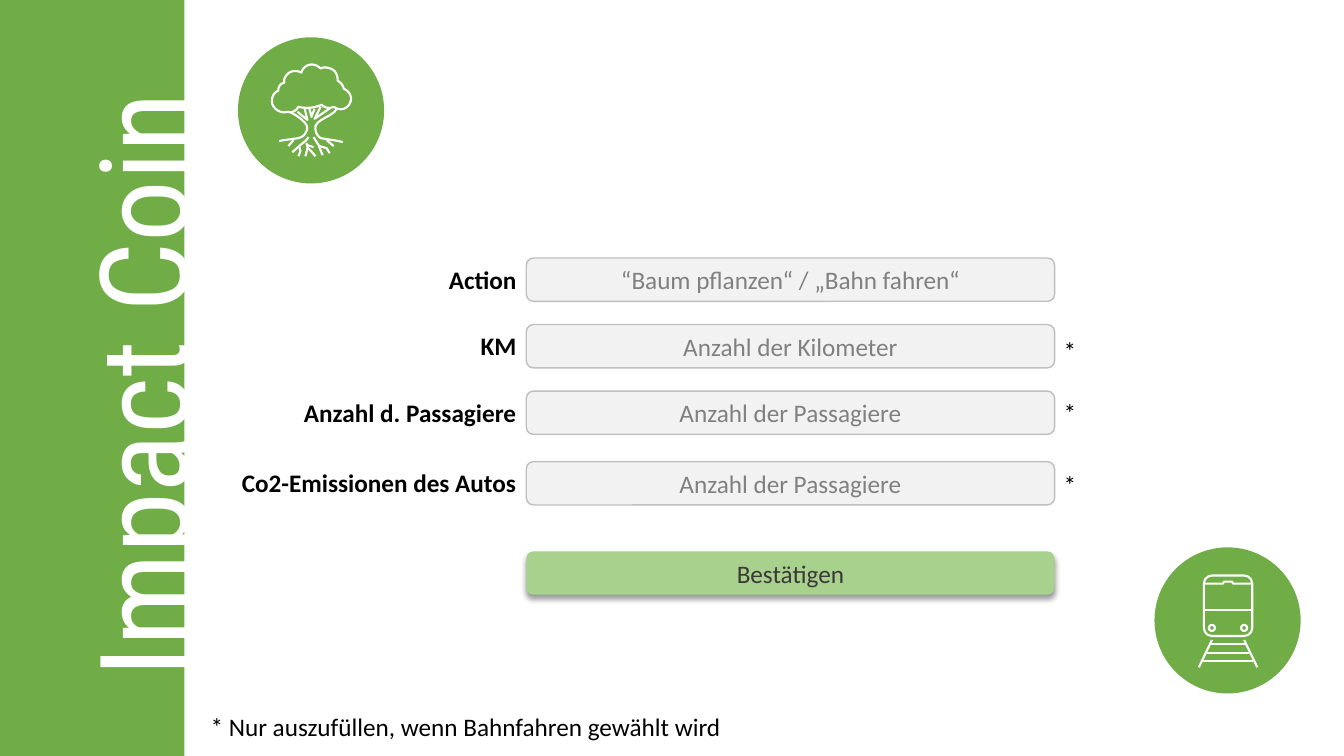
import pptx
import pptx.util
import pptx.dml.color
import pptx.enum.shapes
import pptx.enum.text
import pptx.oxml
import pptx.oxml.ns

RGBColor = pptx.dml.color.RGBColor
Preset = pptx.enum.shapes.MSO_SHAPE
Align = pptx.enum.text.PP_ALIGN
Anchor = pptx.enum.text.MSO_ANCHOR

GREEN = RGBColor(0x70, 0xAD, 0x47)
LIGHT_GREEN = RGBColor(0xA9, 0xD1, 0x8E)
WHITE = RGBColor(0xFF, 0xFF, 0xFF)
BLACK = RGBColor(0, 0, 0)
PALE_GREY = RGBColor(0xF2, 0xF2, 0xF2)
LINE_GREY = RGBColor(0xBF, 0xBF, 0xBF)
HINT_GREY = RGBColor(0x80, 0x80, 0x80)
DARK_GREY = RGBColor(0x3B, 0x38, 0x38)

# All positions count cells of a fine grid, 100 to the inch.
CELL = 9144
SLIDE_COLUMNS, SLIDE_ROWS = 1333, 750
FIELD_LEFT, FIELD_WIDTH, FIELD_HEIGHT = 522, 524, 43
LABEL_HEIGHT, STAR_WIDTH = 40, 33
CIRCLE_SIZE = 145
ICON_LINE = 1.5
TITLE_CENTER, TITLE_LENGTH, TITLE_DEPTH = (144, 341), 682, 168

# Label, label width, hint, field row, row of the star
FIELDS = [
    ("Action", 88, "“Baum pflanzen“ / „Bahn fahren“", 256, None),
    ("KM", 56, "Anzahl der Kilometer", 322, 328),
    ("Anzahl d. Passagiere", 232, "Anzahl der Passagiere", 388, 389),
    ("Co2-Emissionen des Autos", 294, "Anzahl der Passagiere", 458, 461),
]

# Each curve: a start point, then cubic segments (two controls and an end).
TREE_CURVES = [
    [(296, 106),
     (293, 111), (289, 112), (285, 111), (279, 113), (272, 109), (270, 103),
     (269, 97), (271, 92), (276, 90), (276, 86), (278, 83), (282, 82),
     (281, 78), (284, 74), (287, 72), (290, 70), (295, 70), (299, 72),
     (300, 67), (305, 64), (309, 64), (313, 64), (316, 66), (318, 68),
     (321, 66), (326, 67), (330, 69), (333, 71), (335, 75), (335, 80),
     (338, 82), (340, 84), (341, 88), (346, 90), (349, 95), (348, 100),
     (346, 108), (338, 111), (331, 106), (327, 108), (322, 107), (319, 104),
     (312, 107), (304, 108), (296, 106)],
    [(287, 111), (294, 114), (302, 120), (304, 124), (306, 128), (303, 134),
     (299, 136), (295, 138), (285, 138), (277, 140)],
    [(334, 108), (331, 115), (315, 118), (313, 125), (312, 131), (315, 135),
     (318, 137), (322, 138), (333, 139), (340, 141)],
]
TREE_BRANCHES = [
    [(295, 111), (305, 119), (302, 107)],
    [(307, 108), (309, 116), (312, 108)],
    [(318, 106), (312, 118), (328, 107)],
]
TREE_ROOTS = [
    [(291, 139), (286, 145)],
    [(324, 139), (331, 145)],
    [(306, 136), (303, 140), (299, 143), (290, 151)],
    [(297, 146), (298, 150), (296, 155)],
    [(304, 142), (305, 146), (313, 155)],
    [(305, 147), (303, 155)],
    [(305, 144), (311, 146)],
    [(311, 136), (316, 144), (320, 154)],
    [(317, 145), (324, 147), (327, 152)],
]
TRAIN_STROKES = [
    [(1195, 579), (1213, 579), (1214, 577), (1222, 577), (1223, 579), (1241, 579)],
    [(1195, 605), (1241, 605)],
    [(1202, 635), (1189, 662)],
    [(1234, 635), (1247, 662)],
    [(1200, 639), (1236, 639)],
    [(1197, 648), (1239, 648)],
    [(1193, 656), (1243, 656)],
]


def grid(*cells):
    return [pptx.util.Emu(round(cell * CELL)) for cell in cells]


def set_values(target, values):
    for name, value in values.items():
        setattr(target, name, value)


def write(shape, text, color, align=Align.LEFT, font="Calibri", size=18, bold=False):
    paragraph = shape.text_frame.paragraphs[0]
    paragraph.alignment = align
    run = paragraph.add_run()
    run.text = text
    set_values(run.font, {"name": font, "size": pptx.util.Pt(size), "bold": bold})
    run.font.color.rgb = color


def paint(shape, fill=None, line=None, width=1):
    shape.shadow.inherit = False
    if fill is None:
        shape.fill.background()
    else:
        shape.fill.solid()
        shape.fill.fore_color.rgb = fill
    if line is None:
        shape.line.fill.background()
    else:
        shape.line.color.rgb = line
        shape.line.width = pptx.util.Pt(width)


def add_block(shapes, preset, place, **colors):
    shape = shapes.add_shape(preset, *grid(*place))
    paint(shape, **colors)
    return shape


def add_text(shapes, place, text, **format_values):
    box = shapes.add_textbox(*grid(*place))
    box.text_frame.word_wrap = False
    write(box, text, BLACK, **format_values)


def add_field(shapes, top, text, color, **colors):
    field = add_block(shapes, Preset.ROUNDED_RECTANGLE,
                      (FIELD_LEFT, top, FIELD_WIDTH, FIELD_HEIGHT), **colors)
    field.text_frame.vertical_anchor = Anchor.MIDDLE
    write(field, text, color, Align.CENTER)
    return field


def add_drop_shadow(shape):
    effects = shape._element.spPr.find(pptx.oxml.ns.qn("a:effectLst"))
    effects.append(pptx.oxml.parse_xml(
        f'<a:outerShdw {pptx.oxml.ns.nsdecls("a")} blurRad="50800" dist="38100" '
        'dir="5400000" algn="t" rotWithShape="0"><a:srgbClr val="000000">'
        '<a:alpha val="40000"/></a:srgbClr></a:outerShdw>'))


def flatten(curve, steps=6):
    """Turn a chain of cubic segments into a list of points."""
    points = [curve[0]]
    for index in range(0, len(curve) - 1, 3):
        segment = curve[index:index + 4]
        for step in range(1, steps + 1):
            t = step / steps
            weights = ((1 - t) ** 3, 3 * t * (1 - t) ** 2, 3 * t * t * (1 - t), t ** 3)
            points.append(tuple(sum(weight * point[axis] for weight, point in zip(weights, segment))
                                for axis in (0, 1)))
    return points


def add_strokes(shapes, strokes):
    """Draw several open white lines as one outline shape."""
    builder = shapes.build_freeform(*grid(*strokes[0][0]), scale=1.0)
    for number, stroke in enumerate(strokes):
        start, *rest = [grid(*point) for point in stroke]
        if number:
            builder.move_to(*start)
        builder.add_line_segments(rest, close=False)
    paint(builder.convert_to_shape(), line=WHITE, width=ICON_LINE)


def add_circle_group(slide, left, top):
    shapes = slide.shapes.add_group_shape().shapes
    add_block(shapes, Preset.OVAL, (left, top, CIRCLE_SIZE, CIRCLE_SIZE), fill=GREEN)
    return shapes


def add_train(slide):
    shapes = add_circle_group(slide, 1145, 543)
    outline = {"line": WHITE, "width": ICON_LINE}
    add_block(shapes, Preset.ROUNDED_RECTANGLE, (1194, 571, 48, 60), **outline)
    for lamp_left in (1199, 1231):
        add_block(shapes, Preset.OVAL, (lamp_left, 620, 6, 6), **outline)
    add_strokes(shapes, TRAIN_STROKES)


def add_tree(slide):
    shapes = add_circle_group(slide, 236, 37)
    add_strokes(shapes, [flatten(curve) for curve in TREE_CURVES])
    add_strokes(shapes, TREE_BRANCHES)
    add_strokes(shapes, TREE_ROOTS)


def add_title(slide):
    """Turn the title a quarter left, so that it reads upwards on the sidebar."""
    title = slide.shapes.title
    center_x, center_y = TITLE_CENTER
    place = grid(center_x - TITLE_LENGTH / 2, center_y - TITLE_DEPTH / 2, TITLE_LENGTH, TITLE_DEPTH)
    set_values(title, dict(zip(("left", "top", "width", "height"), place)))
    title.rotation = 270
    set_values(title.text_frame, {"word_wrap": True, "vertical_anchor": Anchor.TOP,
                                  "auto_size": pptx.enum.text.MSO_AUTO_SIZE.NONE})
    write(title, "Impact Coin", WHITE, font="Roboto Condensed", size=88)
    sidebar = add_block(slide.shapes, Preset.RECTANGLE, (-118, -11, 301, 772), fill=GREEN)
    title._element.addprevious(sidebar._element)


def add_form(slide):
    for label, label_width, hint, top, star_top in FIELDS:
        shapes = slide.shapes.add_group_shape().shapes
        add_text(shapes, (FIELD_LEFT - label_width, top + 1, label_width, LABEL_HEIGHT),
                 label, align=Align.RIGHT, bold=True)
        add_field(shapes, top, hint, HINT_GREY, fill=PALE_GREY, line=LINE_GREY)
        if star_top:
            add_text(slide.shapes, (FIELD_LEFT + FIELD_WIDTH - 1, star_top, STAR_WIDTH, LABEL_HEIGHT), "*")
    add_drop_shadow(add_field(slide.shapes, 547, "Bestätigen", DARK_GREY, fill=LIGHT_GREEN))
    add_text(slide.shapes, (199, 701, 533, LABEL_HEIGHT),
             "* Nur auszufüllen, wenn Bahnfahren gewählt wird")


def main():
    presentation = pptx.Presentation()
    presentation.slide_width, presentation.slide_height = grid(SLIDE_COLUMNS, SLIDE_ROWS)
    slide = presentation.slides.add_slide(presentation.slide_layouts[5])
    add_title(slide)
    add_train(slide)
    add_tree(slide)
    add_form(slide)
    presentation.save("out.pptx")


if __name__ == "__main__":
    main()
